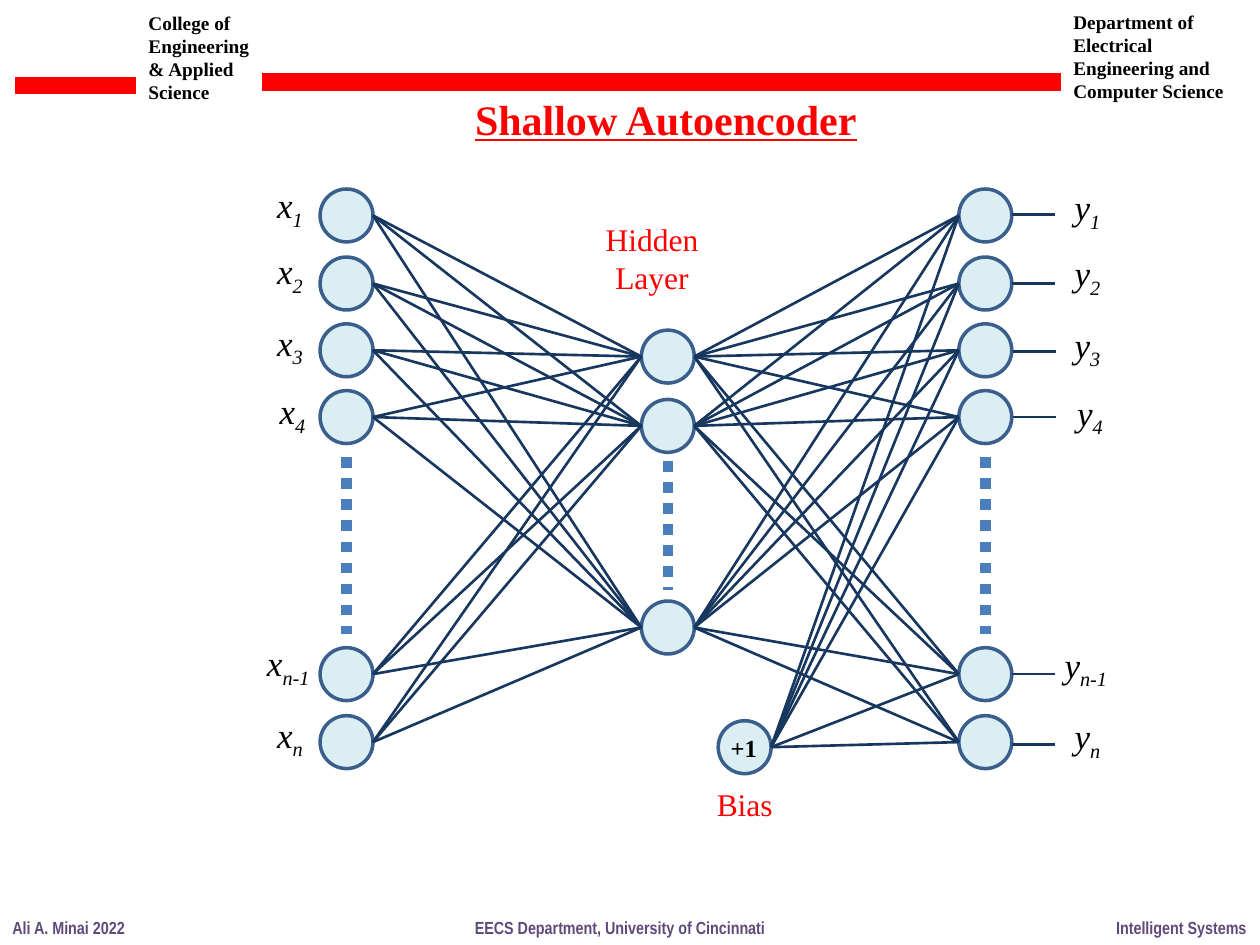
from collections import namedtuple
from itertools import product

from lxml import etree
from pptx import Presentation
from pptx.dml.color import RGBColor
from pptx.enum.dml import MSO_LINE
from pptx.enum.shapes import MSO_CONNECTOR, MSO_SHAPE
from pptx.enum.text import MSO_ANCHOR, MSO_AUTO_SIZE, PP_ALIGN
from pptx.oxml.ns import qn
from pptx.util import Inches, Pt

STRAIGHT = MSO_CONNECTOR.STRAIGHT
OVAL = MSO_SHAPE.OVAL
DOTTED = MSO_LINE.ROUND_DOT
LEFT, CENTER = PP_ALIGN.LEFT, PP_ALIGN.CENTER
TOP = MSO_ANCHOR.TOP
GROW = MSO_AUTO_SIZE.SHAPE_TO_FIT_TEXT

SERIF, NARROW = "Times New Roman", "Arial Narrow"
RED, BLACK, PURPLE = "FF0000", "000000", "604A7B"
NODE_FILL, NODE_EDGE = "DBEEF4", "3A5F8C"
WEIGHT_COLOR, GAP_COLOR = "17375E", "4B7EBC"

# Network geometry in inches: columns are node centres
SLIDE_W, SLIDE_H = 10, 7.5
RADIUS = 0.21
INPUT_X, HIDDEN_X, OUTPUT_X = 2.75, 5.3, 7.82
HIDDEN_YS = (2.83, 3.38, 4.98)
BIAS = (5.91, 5.93)
OUTPUT_LABEL_SHIFT = (6.33, 0.015)

Row = namedtuple("Row", "index y label_x label_y stub_x stub_y")
ROWS = (
    Row("1", 1.71, 2.10, 1.41, 8.03, 1.70),
    Row("2", 2.25, 2.10, 1.93, 8.03, 2.25),
    Row("3", 2.78, 2.10, 2.50, 8.04, 2.79),
    Row("4", 3.31, 2.12, 3.04, 8.04, 3.31),
    Row("n-1", 5.35, 2.02, 5.04, 8.03, 5.35),
    Row("n", 5.89, 2.10, 5.61, 8.03, 5.91),
)


def color(hex_string):
    return RGBColor.from_string(hex_string)


def write(frame, *paragraphs, size, font=SERIF, fill=BLACK, bold=False, italic=False,
          underline=False, align=LEFT, wrap=False):
    """Fill a text frame; a paragraph is a string or a (base, subscript) pair."""
    frame.word_wrap = wrap
    frame.auto_size = GROW
    frame.vertical_anchor = TOP
    for i, content in enumerate(paragraphs):
        paragraph = frame.paragraphs[0] if i == 0 else frame.add_paragraph()
        paragraph.alignment = align
        parts = (content,) if isinstance(content, str) else content
        for level, part in enumerate(parts):
            run = paragraph.add_run()
            run.text = part
            run.font.name, run.font.size = font, Pt(size)
            run.font.bold, run.font.italic = bold, italic
            run.font.underline = underline
            run.font.color.rgb = color(fill)
            if level:
                run.font._element.set("baseline", "-25000")


def label(slide, box, *paragraphs, **text_format):
    area = slide.shapes.add_textbox(*(Inches(v) for v in box))
    write(area.text_frame, *paragraphs, **text_format)


def line(slide, start, end, stroke=WEIGHT_COLOR, width=1.5, dash=None):
    link = slide.shapes.add_connector(STRAIGHT, *(Inches(v) for v in (*start, *end)))
    link.line.color.rgb = color(stroke)
    link.line.width = Pt(width)
    if dash:
        link.line.dash_style = dash
    etree.SubElement(link._element.spPr, qn("a:effectLst"))


def node(slide, x, y):
    circle = slide.shapes.add_shape(
        OVAL, Inches(x - RADIUS), Inches(y - RADIUS), Inches(2 * RADIUS), Inches(2 * RADIUS))
    circle.shadow.inherit = False
    circle.fill.solid()
    circle.fill.fore_color.rgb = color(NODE_FILL)
    circle.line.color.rgb = color(NODE_EDGE)
    circle.line.width = Pt(2)


def layer(slide, x, ys, gap):
    """A column of nodes with a dotted line for the ones left out."""
    for y in ys:
        node(slide, x, y)
    line(slide, (x, gap[0]), (x, gap[1]), GAP_COLOR, 6, DOTTED)


def connect_all(slide, sources, targets):
    """Join the right side of each source to the left side of each target."""
    for (x1, y1), (x2, y2) in product(sources, targets):
        line(slide, (x1 + RADIUS, y1), (x2 - RADIUS, y2))


def header_and_footer(slide):
    heading = dict(size=11, bold=True, wrap=True)
    label(slide, (1.08, 0.04, 1.09, 0.84),
          "College of Engineering & Applied", "Science", **heading)
    label(slide, (8.42, 0.03, 1.47, 0.84),
          "Department of Electrical Engineering and Computer Science", **heading)
    line(slide, (0.12, 0.68), (1.08, 0.68), RED, 10)
    line(slide, (2.08, 0.65), (8.42, 0.65), RED, 10)
    for left, width, text in (
            (0, 1.1, "Ali A. Minai 2022"),
            (3.67, 2.52, "EECS Department, University of Cincinnati"),
            (8.76, 1.24, "Intelligent Systems")):
        label(slide, (left, 7.23, width, 0.27), text,
              size=10, font=NARROW, fill=PURPLE, bold=True)


def title(slide):
    heading = slide.shapes.title
    heading.left, heading.top = Inches(3.67), Inches(0.69)
    heading.width, heading.height = Inches(3.26), Inches(0.5)
    write(heading.text_frame, "Shallow Autoencoder",
          size=24, fill=RED, bold=True, underline=True)


def network(slide):
    row_ys = [row.y for row in ROWS]
    inputs = [(INPUT_X, y) for y in row_ys]
    hidden = [(HIDDEN_X, y) for y in HIDDEN_YS]
    outputs = [(OUTPUT_X, y) for y in row_ys]

    # Nodes
    layer(slide, INPUT_X, row_ys, (3.63, 5.03))
    layer(slide, HIDDEN_X, HIDDEN_YS, (3.66, 4.68))
    layer(slide, OUTPUT_X, row_ys, (3.63, 5.03))
    node(slide, *BIAS)

    # Weights
    connect_all(slide, inputs, hidden)
    connect_all(slide, hidden + [BIAS], outputs)

    # Input and output labels, with a short line out of each output
    dx, dy = OUTPUT_LABEL_SHIFT
    for row in ROWS:
        width = 0.58 if len(row.index) > 1 else 0.42
        label(slide, (row.label_x, row.label_y, width, 0.44),
              ("x", row.index), size=20, italic=True)
        label(slide, (row.label_x + dx, row.label_y + dy, width, 0.44),
              ("y", row.index), size=20, italic=True)
        line(slide, (row.stub_x, row.stub_y), (row.stub_x + 0.34, row.stub_y))

    # Captions
    label(slide, (5.7, 5.77, 0.41, 0.34), "+1", size=14, bold=True)
    label(slide, (5.59, 6.18, 0.65, 0.4), "Bias", size=18, fill=RED)
    label(slide, (4.7, 1.7, 0.95, 0.71), "Hidden", "Layer",
          size=18, fill=RED, align=CENTER)


def main():
    deck = Presentation()
    deck.slide_width, deck.slide_height = Inches(SLIDE_W), Inches(SLIDE_H)
    slide = deck.slides.add_slide(deck.slide_layouts[5])
    header_and_footer(slide)
    title(slide)
    network(slide)
    deck.save("out.pptx")


if __name__ == "__main__":
    main()
